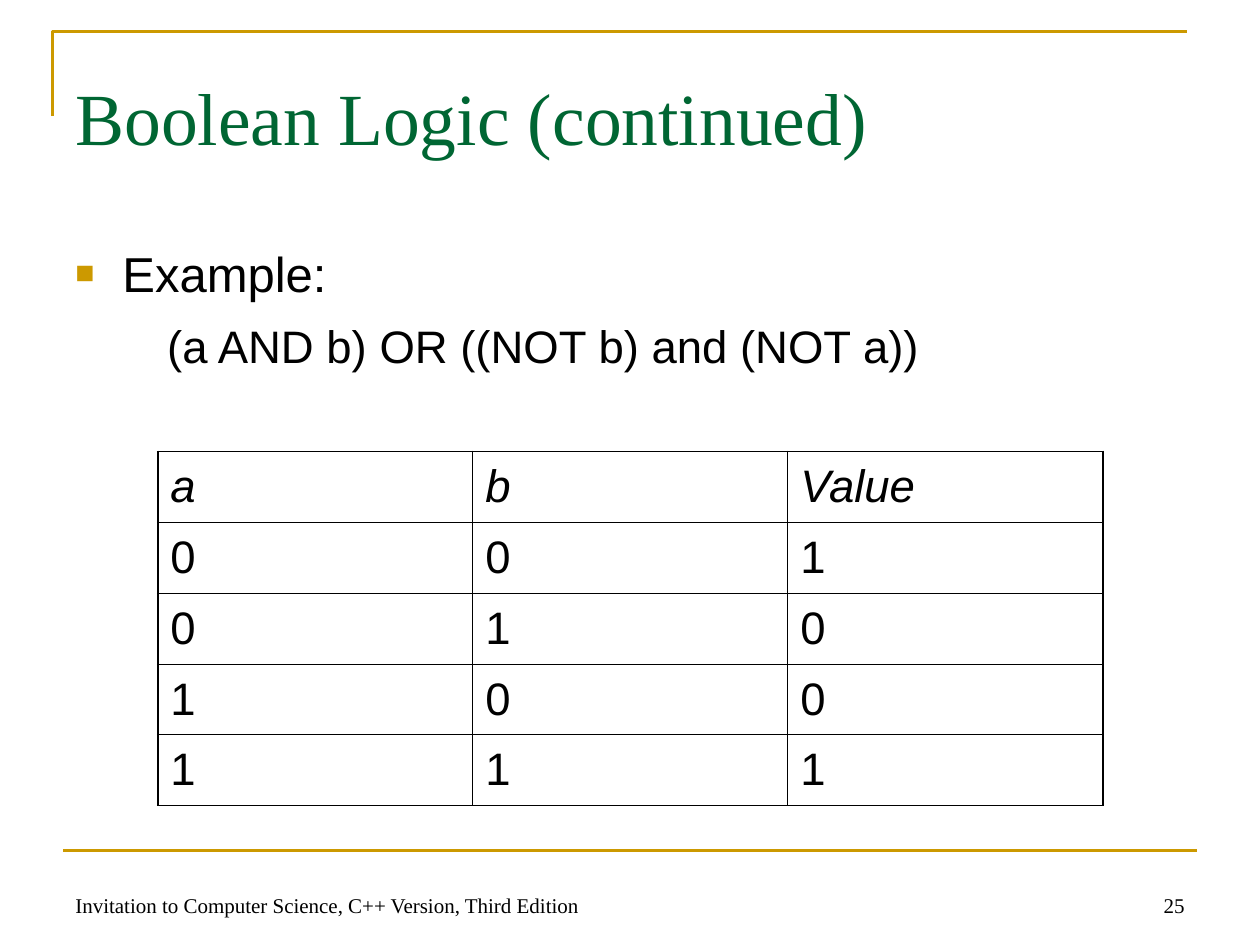
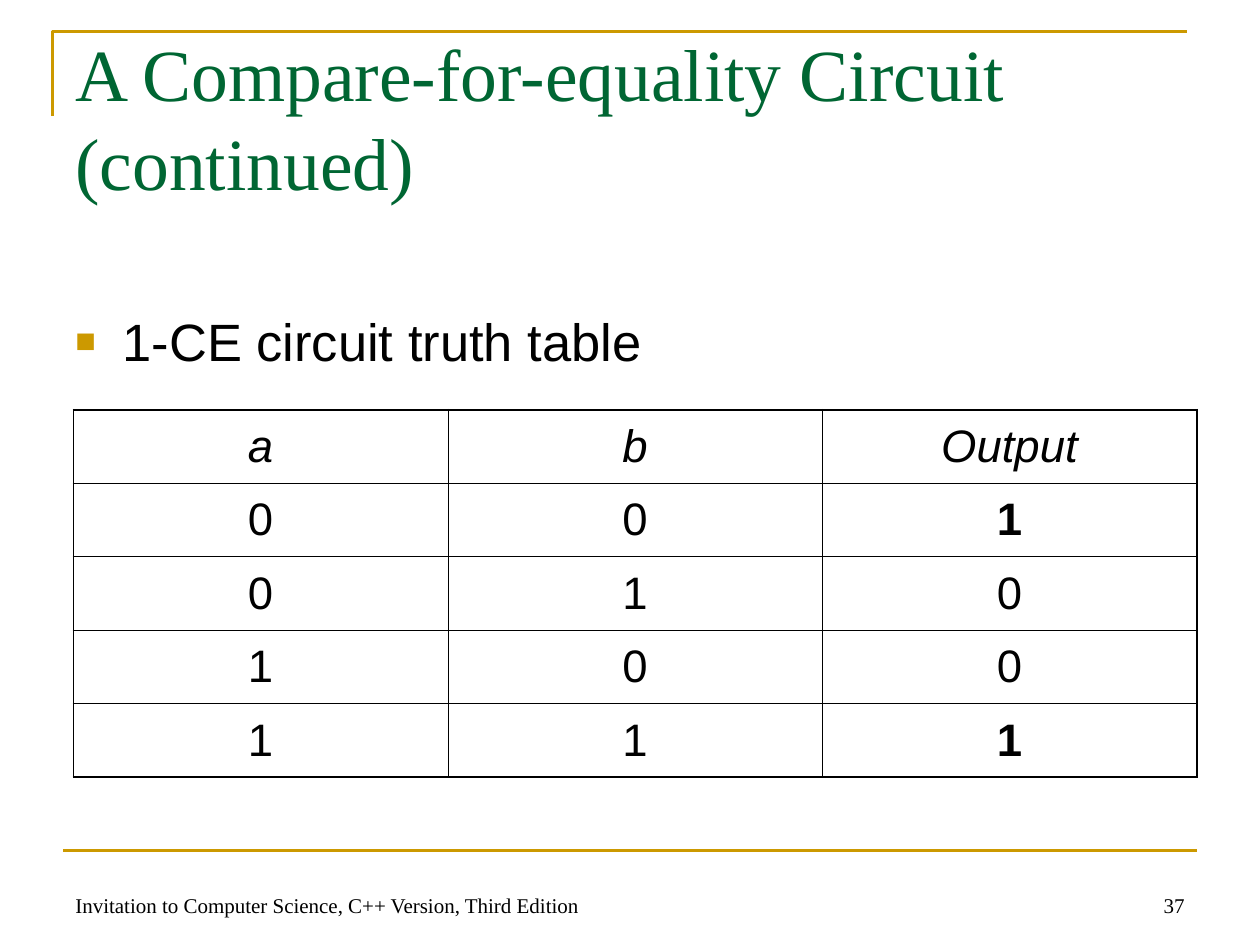
from lxml import etree
from pptx import Presentation
from pptx.dml.color import RGBColor
from pptx.enum.shapes import MSO_CONNECTOR
from pptx.enum.text import MSO_ANCHOR, PP_ALIGN
from pptx.oxml.ns import qn
from pptx.util import Cm, Pt

GOLD = RGBColor(0xCC, 0x99, 0x00)
GREEN = RGBColor(0x00, 0x66, 0x33)
BLACK = RGBColor(0x00, 0x00, 0x00)
SERIF, SANS = "Times New Roman", "Arial"
LEFT, CENTER, RIGHT = PP_ALIGN.LEFT, PP_ALIGN.CENTER, PP_ALIGN.RIGHT
TOP, MIDDLE, BOTTOM = MSO_ANCHOR.TOP, MSO_ANCHOR.MIDDLE, MSO_ANCHOR.BOTTOM
STRAIGHT = MSO_CONNECTOR.STRAIGHT

WIDE, HIGH = 25.4, 19.05
EDGE, SPAN = 1.27, 22.86
FRAME = (1.06, 0.64, SPAN, 1.7)
TITLE = (EDGE, 0.76, SPAN, 3.18)
BODY = (EDGE, 4.45, SPAN, 12.57)
RULE = 17.15
FOOT = (EDGE, 17.35, 15.44, 1.27)
PAGE = (18.21, 17.35, 5.92, 1.27)
THIN, THICK = 0.45, 1.08
NOTE = "Invitation to Computer Science, C++ Version, Third Edition"


def style(para, size, face=SANS, color=BLACK, align=LEFT):
    para.alignment = align
    font = para.font
    font.size, font.name = Pt(size), face
    font.color.rgb = color


def add_box(slide, box, anchor):
    frame = slide.shapes.add_textbox(*map(Cm, box)).text_frame
    frame.word_wrap = True
    frame.vertical_anchor = anchor
    return frame


def add_label(slide, box, text, anchor, *look):
    para = add_box(slide, box, anchor).paragraphs[0]
    para.text = text
    style(para, *look)


def add_frame(slide, box):
    left, top, width, height = map(Cm, box)
    pen = slide.shapes.build_freeform(left, top + height)
    pen.add_line_segments([(left, top), (left + width, top)], close=False)
    angle = pen.convert_to_shape()
    angle.fill.background()
    angle.shadow.inherit = False
    rule = slide.shapes.add_connector(
        STRAIGHT, Cm(EDGE), Cm(RULE), Cm(EDGE + SPAN), Cm(RULE))
    etree.SubElement(rule._element.spPr, qn("a:effectLst"))
    for part in (angle, rule):
        part.line.color.rgb = GOLD
        part.line.width = Pt(1.5)


def indent(para, left, first=0):
    props = para._p.get_or_add_pPr()
    props.set("marL", str(Cm(left)))
    props.set("indent", str(Cm(first)))
    return props


def add_bullet(para):
    props = indent(para, 0.95, -0.95)
    color = etree.SubElement(props, qn("a:buClr"))
    etree.SubElement(color, qn("a:srgbClr"), val=str(GOLD))
    etree.SubElement(props, qn("a:buSzPct"), val="65000")
    etree.SubElement(props, qn("a:buFont"), typeface=SANS)
    etree.SubElement(props, qn("a:buChar"), char="■")


def add_body(slide, box, inset, text, size, detail=None):
    frame = add_box(slide, box, TOP)
    frame.margin_top = Cm(inset)
    para = frame.paragraphs[0]
    para.text = text
    add_bullet(para)
    style(para, size)
    if detail:
        para = frame.add_paragraph()
        para.text = detail
        indent(para, 1.85)
        para.space_before = Pt(9)
        style(para, 26)


def add_edges(cell, outer):
    props = cell._tc.get_or_add_tcPr()
    for place, side in enumerate("LRTB"):
        width = Pt(THICK if side in outer else THIN)
        line = etree.Element(qn("a:ln" + side), w=str(width))
        fill = etree.SubElement(line, qn("a:solidFill"))
        etree.SubElement(fill, qn("a:srgbClr"), val=str(BLACK))
        props.insert(place, line)


def add_truth(slide, box, last, align, strong=False):
    rows = [("a", "b", last)]
    rows += [(a, b, int(a == b)) for a in (0, 1) for b in (0, 1)]
    count = len(rows)
    table = slide.shapes.add_table(count, 3, *map(Cm, box)).table
    table.first_row = table.horz_banding = False
    for y, row in enumerate(rows):
        table.rows[y].height = Cm(box[3] / count)
        for x, value in enumerate(row):
            cell = table.cell(y, x)
            cell.fill.background()
            cell.vertical_anchor = MIDDLE
            para = cell.text_frame.paragraphs[0]
            para.text = str(value)
            style(para, 26, align=align)
            para.font.italic = y == 0
            para.font.bold = strong and x == 2 and value == 1
            ends = {"L": x == 0, "R": x == 2, "T": y == 0, "B": y == count - 1}
            add_edges(cell, [side for side in ends if ends[side]])


def add_slide(deck, title, page):
    slide = deck.slides.add_slide(deck.slide_layouts[6])
    add_frame(slide, FRAME)
    add_label(slide, FOOT, NOTE, BOTTOM, 12, SERIF)
    add_label(slide, PAGE, page, BOTTOM, 12, SERIF, BLACK, RIGHT)
    add_label(slide, TITLE, title, MIDDLE, 42, SERIF, GREEN)
    return slide


def main():
    deck = Presentation()
    deck.slide_width, deck.slide_height = Cm(WIDE), Cm(HIGH)

    logic = add_slide(deck, "Boolean Logic (continued)", "25")
    add_body(logic, BODY, 0.46, "Example:", 28,
             "(a AND b) OR ((NOT b) and (NOT a))")
    add_truth(logic, (3.18, 9.1, 19.05, 7.14), "Value", LEFT)

    match = add_slide(deck, "A Compare-for-equality Circuit (continued)", "37")
    add_body(match, BODY, 1.78, "1-CE circuit truth table", 30)
    add_truth(match, (1.48, 8.26, 22.65, 7.41), "Output", CENTER, True)

    deck.save("out.pptx")


if __name__ == "__main__":
    main()
